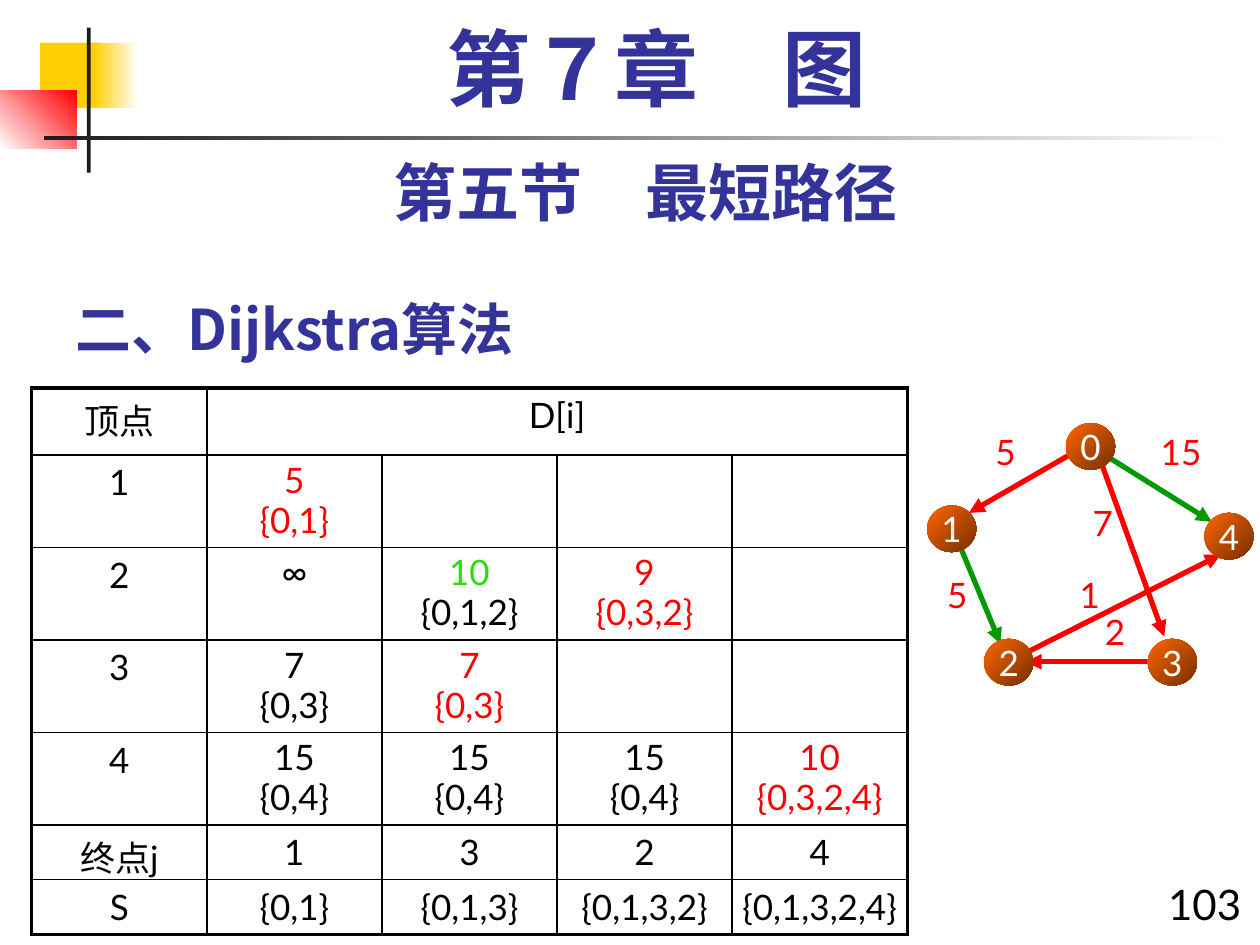
from dataclasses import dataclass

from lxml import etree
from pptx import Presentation
from pptx.dml.color import RGBColor
from pptx.enum.shapes import MSO_CONNECTOR, MSO_SHAPE
from pptx.enum.text import MSO_ANCHOR, PP_ALIGN
from pptx.oxml.ns import qn
from pptx.util import Cm, Pt

RECT, OVAL = MSO_SHAPE.RECTANGLE, MSO_SHAPE.OVAL
LINE = MSO_CONNECTOR.STRAIGHT
TOP, MIDDLE, BOTTOM = MSO_ANCHOR.TOP, MSO_ANCHOR.MIDDLE, MSO_ANCHOR.BOTTOM
LEFT, CENTER, RIGHT = PP_ALIGN.LEFT, PP_ALIGN.CENTER, PP_ALIGN.RIGHT
LATIN, ASIAN, SERIF = "Lato", "Noto Sans CJK SC", "Times New Roman"
BLACK, WHITE, RED, GREEN = "000000", "FFFFFF", "FF0000", "009900"
LIME, NAVY, GOLD, DARK = "2BDC08", "333399", "FFCF01", "1C1C1C"
ORANGE, BROWN = "FF6600", "762F00"


@dataclass
class Box:
    x: float
    y: float
    w: float
    h: float


@dataclass
class Style:
    size: float = 20
    color: str = BLACK
    font: str = LATIN
    bold: bool = False
    align: PP_ALIGN = CENTER
    space: float = 1.0


@dataclass
class Text:
    box: Box
    words: str
    style: Style
    anchor: MSO_ANCHOR = TOP


@dataclass
class Block:
    box: Box
    colors: tuple[str, ...]
    angle: float = 0


@dataclass
class Edge:
    x1: float
    y1: float
    x2: float
    y2: float
    color: str


@dataclass
class Node:
    name: str
    x: float
    y: float


@dataclass
class Label:
    words: str
    x: float
    y: float
    w: float = 1.22


BLOCKS = [
    Block(Box(0.81, 0.86, 1.22, 1.32), (GOLD,)),
    Block(Box(1.88, 0.86, 0.91, 1.32), (GOLD, WHITE)),
    Block(Box(0, 1.83, 1.55, 1.17), (WHITE, RED), 45),
    Block(Box(1.75, 0.56, 0.08, 2.92), (DARK,)),
    Block(Box(0.89, 2.74, 24, 0.08), (DARK, WHITE)),
]
TEXTS = [
    Text(Box(1.27, 5.51, 24.13, 1.9), "二、Dijkstra算法",
         Style(32, NAVY, ASIAN, True, LEFT), BOTTOM),
    Text(Box(1.27, 2.97, 23.5, 1.78), "第五节\u3000最短路径".replace("\u3000", "　"),
         Style(36, NAVY, LATIN, True)),
    Text(Box(1.7, 0.43, 23.06, 2.11), "第７章　图",
         Style(48, NAVY, SERIF, True, space=0.9)),
    Text(Box(23.09, 17.58, 2.18, 1.27), "103", Style(24, align=RIGHT)),
]
EDGES = [
    Edge(22.3, 9.19, 24.43, 10.52, GREEN),
    Edge(19.35, 11, 20.17, 12.98, GREEN),
    Edge(21.82, 9.02, 19.53, 10.34, RED),
    Edge(22.15, 9.19, 23.47, 12.83, RED),
    Edge(23.14, 13.34, 20.68, 13.34, RED),
    Edge(20.68, 13.16, 24.61, 11.18, RED),
]
NODES = [
    Node("1", 18.69, 10.19), Node("3", 23.14, 12.88), Node("2", 19.84, 12.88),
    Node("4", 24.28, 10.34), Node("0", 21.49, 8.53),
]
LABELS = [
    Label("5", 19.66, 8.56), Label("5", 18.69, 11.43), Label("15", 22.83, 8.56, 1.96),
    Label("1", 21.36, 11.43), Label("7", 21.62, 9.98), Label("2", 21.87, 12.19),
]
CELLS = [
    ["顶点", "D[i]", "", "", ""],
    ["1", "5\n{0,1}", "", "", ""],
    ["2", "∞", "10\n{0,1,2}", "9\n{0,3,2}", ""],
    ["3", "7\n{0,3}", "7\n{0,3}", "", ""],
    ["4", "15\n{0,4}", "15\n{0,4}", "15\n{0,4}", "10\n{0,3,2,4}"],
    ["终点j", "1", "3", "2", "4"],
    ["S", "{0,1}", "{0,1,3}", "{0,1,3,2}", "{0,1,3,2,4}"],
]
HEIGHTS = [1.35, 1.86, 1.86, 1.86, 1.86, 1.1, 1.1]
WIDTH = 3.53
TINTS = {(1, 1): (RED, RED), (2, 2): (LIME, BLACK), (2, 3): (RED, RED),
         (3, 2): (RED, RED), (4, 4): (RED, RED)}


def paint(target, color: str) -> None:
    """Set a colour on a fill, or on a colour format, from a hex string."""
    if hasattr(target, "solid"):
        target.solid()
        target = target.fore_color
    target.rgb = RGBColor.from_string(color)


def place(box: Box) -> tuple:
    """Return the box as lengths."""
    return Cm(box.x), Cm(box.y), Cm(box.w), Cm(box.h)


def write(par, words: str, style: Style) -> None:
    """Add one styled run to a paragraph."""
    par.alignment = style.align
    par.line_spacing = style.space
    run = par.add_run()
    run.text = words
    run.font.size, run.font.bold, run.font.name = Pt(style.size), style.bold, style.font
    paint(run.font.color, style.color)
    run.font._element.find(qn("a:latin")).addnext(
        etree.Element(qn("a:ea"), typeface=ASIAN))


def draw_text(slide, item: Text) -> None:
    """Draw a wrapped text box."""
    frame = slide.shapes.add_textbox(*place(item.box)).text_frame
    frame.word_wrap, frame.vertical_anchor = True, item.anchor
    write(frame.paragraphs[0], item.words, item.style)


def draw_block(slide, item: Block, kind=RECT):
    """Draw a shape with a plain or two-colour fill."""
    shape = slide.shapes.add_shape(kind, *place(item.box))
    shape.shadow.inherit = False
    shape.line.fill.background()
    if len(item.colors) == 1:
        paint(shape.fill, item.colors[0])
    else:
        shape.fill.gradient()
        shape.fill.gradient_angle = item.angle
        for stop, color in zip(shape.fill.gradient_stops, item.colors):
            paint(stop.color, color)
    return shape


def draw_node(slide, node: Node) -> None:
    """Draw a numbered graph node."""
    block = Block(Box(node.x, node.y, 0.99, 0.94), (ORANGE, BROWN), 315)
    frame = draw_block(slide, block, OVAL).text_frame
    frame.margin_left = frame.margin_right = 0
    frame.word_wrap, frame.vertical_anchor = False, MIDDLE
    write(frame.paragraphs[0], node.name, Style(color=WHITE))


def draw_edge(slide, edge: Edge) -> None:
    """Draw an arrow between two nodes."""
    line = slide.shapes.add_connector(
        LINE, Cm(edge.x1), Cm(edge.y1), Cm(edge.x2), Cm(edge.y2))
    line.line.width = Pt(3)
    paint(line.line.fill, edge.color)
    etree.SubElement(line.line._get_or_add_ln(), qn("a:tailEnd"), type="triangle")
    etree.SubElement(line._element.spPr, qn("a:effectLst"))


def frame_cell(cell, row: int, col: int) -> None:
    """Give a cell its borders, thick on the outer rim."""
    last = col + max(cell.span_width, 1) - 1
    rims = {"L": col == 0, "R": last == len(CELLS[0]) - 1,
            "T": row == 0, "B": row == len(CELLS) - 1}
    for side, thick in rims.items():
        line = etree.SubElement(cell._tc.get_or_add_tcPr(), qn("a:ln" + side),
                                w=str(Pt(2.25 if thick else 1)))
        fill = etree.SubElement(line, qn("a:solidFill"))
        etree.SubElement(fill, qn("a:srgbClr"), val=BLACK)


def draw_table(slide) -> None:
    """Draw the table of distances."""
    box = Box(0.64, 7.82, WIDTH * len(CELLS[0]), sum(HEIGHTS))
    grid = slide.shapes.add_table(len(CELLS), len(CELLS[0]), *place(box)).table
    grid.first_row = grid.horz_banding = False
    for col in grid.columns:
        col.width = Cm(WIDTH)
    grid.cell(0, 1).merge(grid.cell(0, 4))
    for r, texts in enumerate(CELLS):
        grid.rows[r].height = Cm(HEIGHTS[r])
        for c, words in enumerate(texts):
            cell = grid.cell(r, c)
            frame_cell(cell, r, c)
            cell.fill.background()
            cell.margin_left = cell.margin_right = 0
            space = 0.95 if c and 0 < r < 5 else 1.0
            lines = words.split("\n") if words else []
            for i, (part, tint) in enumerate(zip(lines, TINTS.get((r, c), (BLACK, BLACK)))):
                frame = cell.text_frame
                par = frame.add_paragraph() if i else frame.paragraphs[0]
                write(par, part, Style(color=tint, space=space))


def main() -> None:
    """Build the slide and save it."""
    deck = Presentation()
    deck.slide_width, deck.slide_height = Cm(25.4), Cm(19.05)
    slide = deck.slides.add_slide(deck.slide_layouts[6])
    for block in BLOCKS:
        draw_block(slide, block)
    for item in TEXTS:
        draw_text(slide, item)
    draw_table(slide)
    for edge in EDGES:
        draw_edge(slide, edge)
    for node in NODES:
        draw_node(slide, node)
    for mark in LABELS:
        draw_text(slide, Text(Box(mark.x, mark.y, mark.w, 1.09), mark.words, Style(color=RED)))
    deck.save("out.pptx")


if __name__ == "__main__":
    main()
